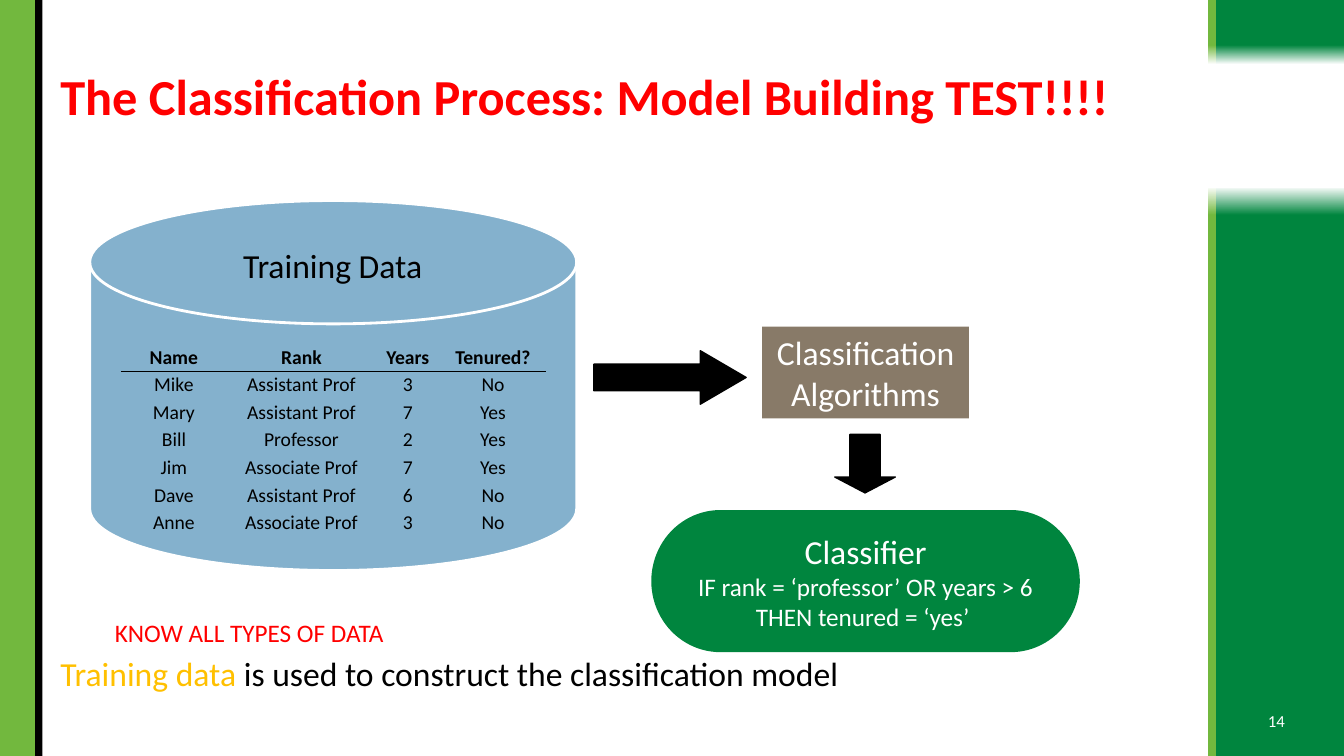
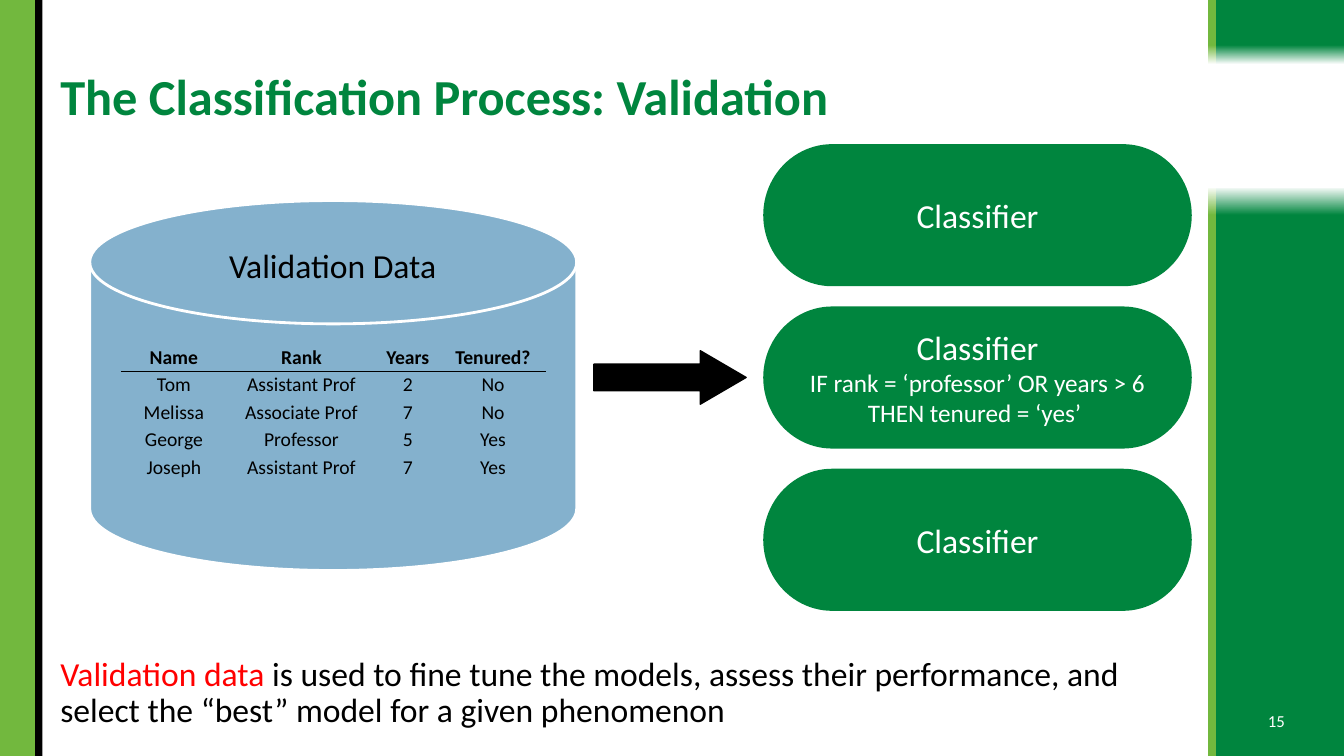
import pptx
import pptx.util
import pptx.dml.color
import pptx.enum.shapes
import pptx.enum.text
import pptx.oxml

Inches = pptx.util.Inches
Pt = pptx.util.Pt
SHAPE = pptx.enum.shapes.MSO_SHAPE
ALIGN = pptx.enum.text.PP_ALIGN
ANCHOR = pptx.enum.text.MSO_ANCHOR

FONT = "Calibri"
COLORS = {
    "green": "00853E", "lime": "72B83E", "black": "000000", "white": "FFFFFF",
    "red": "FF0000", "gold": "FFC000", "blue": "84B1CD", "taupe": "887A68",
}
NO_GRID_STYLE = "{2D5ABB26-0587-4C30-8999-92F81FD0307C}"

HEADER = ("Name", "Rank", "Years", "Tenured?")
COLUMN_WIDTHS = (1.05, 1.48, 0.63, 1.06)
ROW_HEIGHT = 0.27
CLASSIFIER = [("Classifier", 24)]
RULE = CLASSIFIER + [
    ("IF rank = ‘professor’ OR years > 6", 18),
    ("THEN tenured = ‘yes’ ", 18),
]
CLASSIFIER_SIZE = (4.25, 1.41)
CLASSIFIER_STEP = 1.61

SLIDES = [
    {
        "number": 14,
        "title": ("The Classification Process: Model Building TEST!!!!", "red"),
        "summary": [("Training data ", "gold"),
                    ("is used to construct the classification model", "black")],
        "data": "Training Data",
        "people": [
            ("Mike", "Assistant Prof", "3", "No"),
            ("Mary", "Assistant Prof", "7", "Yes"),
            ("Bill", "Professor", "2", "Yes"),
            ("Jim", "Associate Prof", "7", "Yes"),
            ("Dave", "Assistant Prof", "6", "No"),
            ("Anne", "Associate Prof", "3", "No"),
        ],
        "classifiers": [RULE],
        "classifiers_at": (6.46, 5.06),
    },
    {
        "number": 15,
        "title": ("The Classification Process: Validation", "green"),
        "summary": [("Validation data ", "red"),
                    ("is used to fine tune the models, assess their performance, "
                     "and select the “best” model for a given phenomenon", "black")],
        "data": "Validation Data",
        "people": [
            ("Tom", "Assistant Prof", "2", "No"),
            ("Melissa", "Associate Prof", "7", "No"),
            ("George", "Professor", "5", "Yes"),
            ("Joseph", "Assistant Prof", "7", "Yes"),
        ],
        "classifiers": [CLASSIFIER, RULE, CLASSIFIER],
        "classifiers_at": (7.57, 1.43),
    },
]


def rgb(name):
    return pptx.dml.color.RGBColor.from_string(COLORS[name])


def style(paragraph, size, color, align=ALIGN.LEFT, bold=False):
    paragraph.alignment = align
    paragraph.font.name = FONT
    paragraph.font.size = Pt(size)
    paragraph.font.bold = bold
    paragraph.font.color.rgb = rgb(color)


def write(frame, lines, color, align=ALIGN.CENTER, anchor=ANCHOR.MIDDLE,
          bold=False, wrap=True):
    frame.word_wrap = wrap
    frame.vertical_anchor = anchor
    for index, (text, size) in enumerate(lines):
        paragraph = frame.add_paragraph() if index else frame.paragraphs[0]
        paragraph.text = text
        style(paragraph, size, color, align, bold)


def add_box(slide, *at):
    return slide.shapes.add_textbox(*map(Inches, at)).text_frame


def add_figure(slide, kind, at, fill, line=None, weight=1):
    figure = slide.shapes.add_shape(kind, *map(Inches, at))
    figure.shadow.inherit = False
    figure.fill.solid()
    figure.fill.fore_color.rgb = rgb(fill)
    if line:
        figure.line.color.rgb = rgb(line)
        figure.line.width = Pt(weight)
    else:
        figure.line.fill.background()
    return figure


def add_arrow(slide, kind, at, head):
    arrow = add_figure(slide, kind, at, "black", "black")
    arrow.adjustments[0] = 0.5
    arrow.adjustments[1] = head


def add_bands(slide):
    for left, width, color in ((12.06, 1.27, "green"), (11.98, 0.08, "lime")):
        for top, height, solid_until, turn in ((0, 0.64, 0.7, 0), (1.85, 5.65, 0.95, 180)):
            band = add_figure(slide, SHAPE.RECTANGLE, (left, top, width, height), color)
            band.rotation = turn
            band.fill.gradient()
            band.fill.gradient_angle = 270
            stops = zip(band.fill.gradient_stops, ((solid_until, color), (1, "white")))
            for stop, (position, stop_color) in stops:
                stop.position = position
                stop.color.rgb = rgb(stop_color)
    add_figure(slide, SHAPE.RECTANGLE, (0, 0, 0.35, 7.5), "lime")
    add_figure(slide, SHAPE.RECTANGLE, (0.35, 0, 0.07, 7.5), "black")


def add_frame(slide, content):
    add_bands(slide)
    title, color = content["title"]
    heading = add_box(slide, 0.5, 0.4, 11.4, 1.16)
    write(heading, [(title, 36)], color, ALIGN.LEFT, bold=True)
    heading.paragraphs[0].line_spacing = 0.9

    summary = add_box(slide, 0.5, 6.47, 11.4, 0.88)
    summary.word_wrap = True
    sentence = summary.paragraphs[0]
    style(sentence, 24, "black")
    sentence.line_spacing = 0.9
    sentence.space_before = Pt(10)
    for text, run_color in content["summary"]:
        run = sentence.add_run()
        run.text = text
        run.font.color.rgb = rgb(run_color)

    number = add_box(slide, 12.4, 6.95, 0.52, 0.4)
    write(number, [(str(content["number"]), 12)], "white")


def add_people(slide, people):
    rows = [HEADER] + people
    size = (sum(COLUMN_WIDTHS), ROW_HEIGHT * len(rows))
    holder = slide.shapes.add_table(len(rows), len(HEADER),
                                    *map(Inches, (1.2, 3.41, *size)))
    holder.element.xpath(".//a:tableStyleId")[0].text = NO_GRID_STYLE
    table = holder.table
    table.first_row = table.horz_banding = False
    for column, width in zip(table.columns, COLUMN_WIDTHS):
        column.width = Inches(width)
    for r, row in enumerate(rows):
        table.rows[r].height = Inches(ROW_HEIGHT)
        for c, text in enumerate(row):
            cell = table.cell(r, c)
            cell.margin_left = cell.margin_right = Inches(0.02)
            cell.margin_top = cell.margin_bottom = Inches(0.02)
            cell.fill.background()
            cell.text = text
            style(cell.text_frame.paragraphs[0], 14, "black", ALIGN.CENTER, r == 0)
            if r == 0:
                underline(cell)


def underline(cell):
    border = pptx.oxml.parse_xml(
        '<a:lnB xmlns:a="http://schemas.openxmlformats.org/drawingml/2006/main" '
        f'w="{Pt(1)}"><a:solidFill><a:srgbClr val="{COLORS["black"]}"/>'
        '</a:solidFill></a:lnB>')
    cell._tc.get_or_add_tcPr().insert(0, border)


def add_process(slide, content):
    add_figure(slide, SHAPE.FLOWCHART_MAGNETIC_DISK, (0.89, 1.99, 4.83, 3.67),
               "blue", "white", 2)
    add_arrow(slide, SHAPE.RIGHT_ARROW, (5.89, 3.48, 1.51, 0.53), 0.856)
    left, top = content["classifiers_at"]
    for index, lines in enumerate(content["classifiers"]):
        at = (left, top + index * CLASSIFIER_STEP, *CLASSIFIER_SIZE)
        classifier = add_figure(slide, SHAPE.FLOWCHART_TERMINATOR, at, "green")
        write(classifier.text_frame, lines, "white")
    write(add_box(slide, 2.1, 2.38, 2.4, 0.5), [(content["data"], 24)], "black",
          anchor=ANCHOR.TOP)
    add_people(slide, content["people"])


def add_model_building(slide):
    algorithms = add_figure(slide, SHAPE.RECTANGLE, (7.56, 3.24, 2.05, 0.91), "taupe")
    write(algorithms.text_frame, [("Classification", 24), ("Algorithms", 24)], "white",
          wrap=False)
    add_arrow(slide, SHAPE.DOWN_ARROW, (8.28, 4.31, 0.6, 0.58), 0.271)
    write(add_box(slide, 1.04, 6.08, 2.9, 0.4), [("KNOW ALL TYPES OF DATA", 18)], "red",
          ALIGN.LEFT, ANCHOR.TOP, wrap=False)


deck = pptx.Presentation()
deck.slide_width = Inches(13.33)
deck.slide_height = Inches(7.5)
pages = []
for content in SLIDES:
    page = deck.slides.add_slide(deck.slide_layouts[6])
    add_frame(page, content)
    add_process(page, content)
    pages.append(page)
add_model_building(pages[0])
deck.save("out.pptx")
